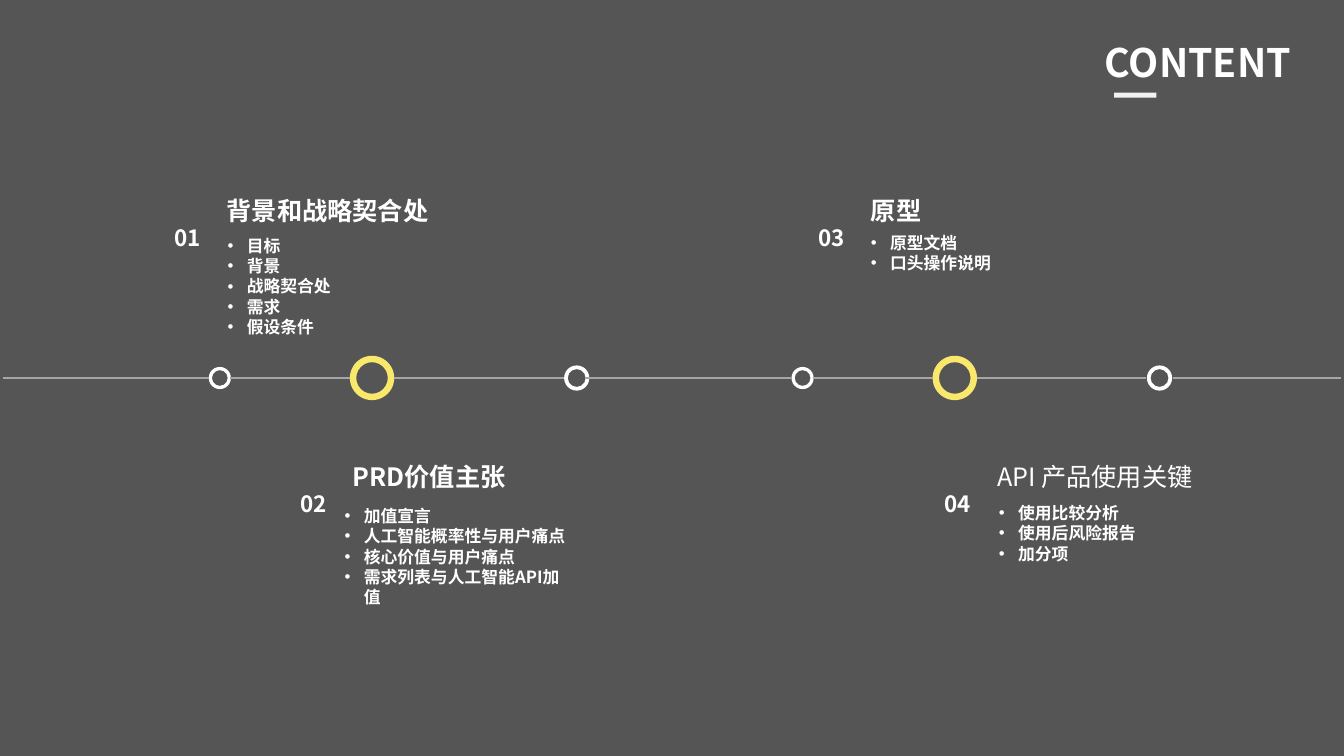
from lxml.etree import SubElement
from pptx import Presentation
from pptx.dml.color import RGBColor
from pptx.enum.shapes import MSO_CONNECTOR, MSO_SHAPE
from pptx.enum.text import MSO_ANCHOR, MSO_AUTO_SIZE, PP_ALIGN
from pptx.oxml.ns import qn
from pptx.util import Inches, Pt

GRAY = RGBColor(0x55, 0x55, 0x55)
WHITE = RGBColor(0xFF, 0xFF, 0xFF)
OFF_WHITE = RGBColor(0xF2, 0xF2, 0xF2)
YELLOW = RGBColor(0xF9, 0xE8, 0x6C)
LINE_GRAY = RGBColor(0xA6, 0xA6, 0xA6)
FONT = "Noto Sans CJK SC"
AXIS_Y = 3.75
HALF_WIDTH = 5.78


def write(box, lines, size, bold=True, bullets=False, align=PP_ALIGN.LEFT):
    frame = box.text_frame
    frame.word_wrap = True
    frame.auto_size = MSO_AUTO_SIZE.NONE
    frame.vertical_anchor = MSO_ANCHOR.TOP
    frame.text = "\n".join(lines)
    for paragraph in frame.paragraphs:
        paragraph.alignment = align
        paragraph.line_spacing = Pt(size * 1.2)
        paragraph.space_before = Pt(0)
        if bullets:
            properties = paragraph._p.get_or_add_pPr()
            properties.set("marL", str(Inches(0.19)))
            properties.set("indent", str(-Inches(0.19)))
            SubElement(properties, qn("a:buFont")).set("typeface", "Arial")
            SubElement(properties, qn("a:buChar")).set("char", "•")
        paragraph.font.name = FONT
        paragraph.font.size = Pt(size)
        paragraph.font.bold = bold
        paragraph.font.color.rgb = WHITE
        for run in paragraph.runs:
            SubElement(run._r.get_or_add_rPr(), qn("a:ea")).set("typeface", FONT)


def add_solid(preset, left, top, width, height, color):
    solid = slide.shapes.add_shape(
        preset, Inches(left), Inches(top), Inches(width), Inches(height))
    solid.shadow.inherit = False
    solid.fill.solid()
    solid.fill.fore_color.rgb = color
    solid.line.fill.background()
    return solid


presentation = Presentation()
presentation.slide_width = Inches(13.33)
presentation.slide_height = Inches(7.5)
slide = presentation.slides.add_slide(presentation.slide_layouts[5])
slide.background.fill.solid()
slide.background.fill.fore_color.rgb = GRAY

heading = slide.shapes.title
heading.left, heading.top = Inches(9.97), Inches(0.33)
heading.width, heading.height = Inches(3.82), Inches(0.57)
write(heading, ["CONTENT"], 28, align=PP_ALIGN.CENTER)
add_solid(MSO_SHAPE.RECTANGLE, 11.05, 0.92, 0.42, 0.05, OFF_WHITE)

rings = [(2.18, 0.22, WHITE), (3.69, 0.44, YELLOW), (5.72, 0.25, WHITE)]
segments = [(0.03, 2.07), (2.28, 3.47), (3.91, 5.59), (5.85, 7.53)]
for offset in (0, HALF_WIDTH):
    for center, diameter, color in rings:
        ring = add_solid(MSO_SHAPE.DONUT, offset + center - diameter / 2,
                         AXIS_Y - diameter / 2, diameter, diameter, color)
        ring.adjustments[0] = 0.145
    for start, end in segments:
        segment = slide.shapes.add_connector(
            MSO_CONNECTOR.STRAIGHT, Inches(offset + start), Inches(AXIS_Y),
            Inches(min(offset + end, 13.3)), Inches(AXIS_Y))
        segment.line.color.rgb = LINE_GRAY
        segment.line.width = Pt(1.5)
        SubElement(segment._element.spPr, qn("a:effectLst"))

sections = [
    ("01", 2.15, 1.89, "背景和战略契合处", True, (2.16, 2.29, 2.24),
     ["目标", "背景", "战略契合处", "需求", "假设条件"]),
    ("02", 3.4, 4.53, "PRD价值主张", True, (3.32, 4.97, 2.41),
     ["加值宣言", "人工智能概率性与用户痛点", "核心价值与用户痛点",
      "需求列表与人工智能API加值"]),
    ("03", 8.54, 1.89, "原型", True, (8.54, 2.26, 2.24),
     ["原型文档", "口头操作说明"]),
    ("04", 9.79, 4.53, "API 产品使用关键", False, (9.81, 4.94, 2.24),
     ["使用比较分析", "使用后风险报告", "加分项"]),
]
for number, left, top, topic, bold, (list_left, list_top, list_width), points in sections:
    number_box = slide.shapes.add_textbox(
        Inches(left - 0.52), Inches(top + 0.28), Inches(0.52), Inches(0.37))
    write(number_box, [number], 16)
    topic_box = slide.shapes.add_textbox(
        Inches(left), Inches(top), Inches(2.49), Inches(0.4))
    write(topic_box, [topic], 18, bold)
    points_box = slide.shapes.add_textbox(
        Inches(list_left), Inches(list_top), Inches(list_width),
        Inches(0.31 + 0.2 * len(points)))
    write(points_box, points, 12, bullets=True)

presentation.save("out.pptx")
